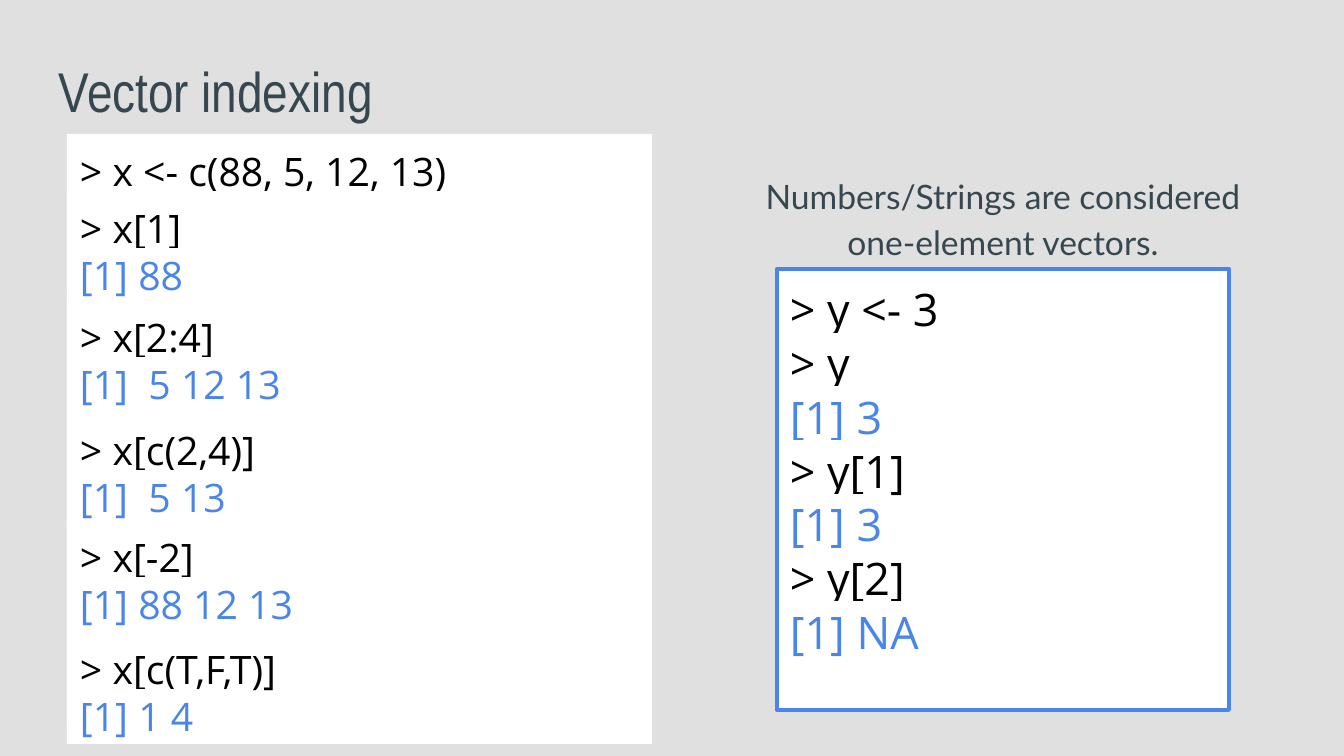
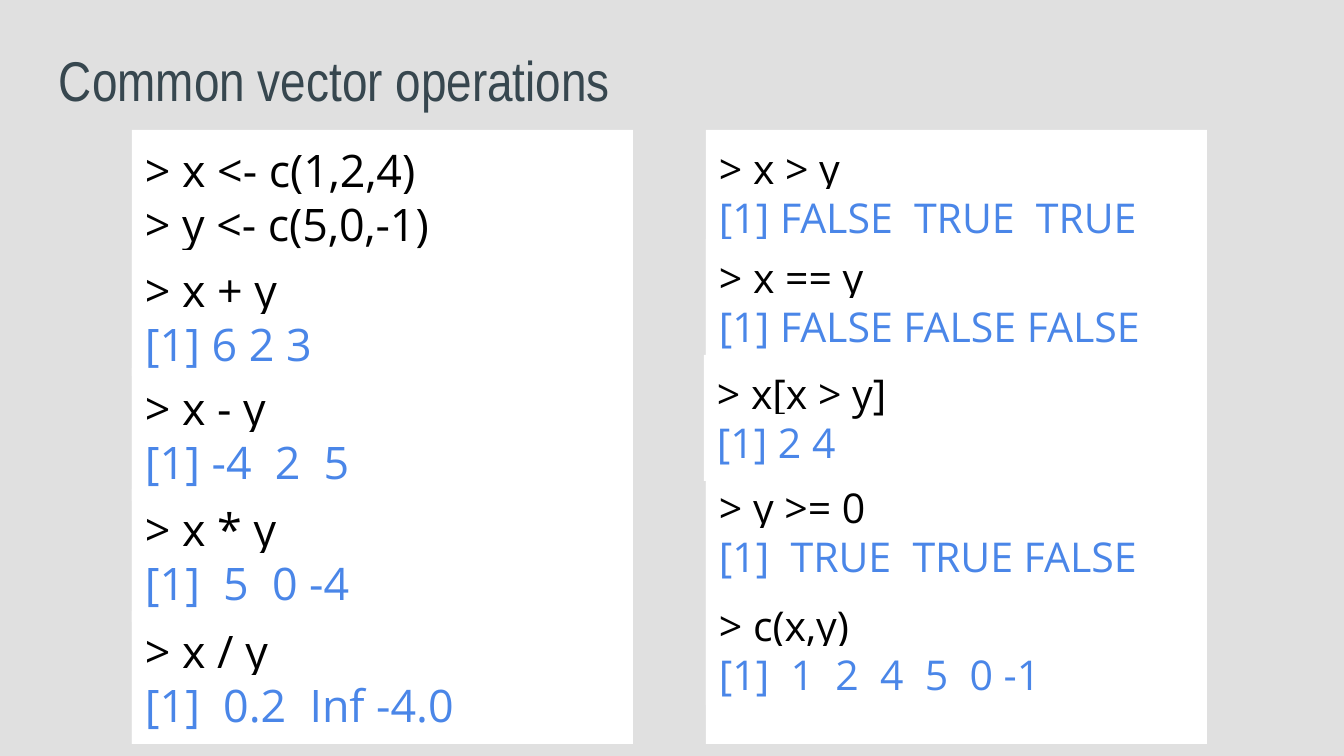
from collections import namedtuple

from lxml import etree
from pptx import Presentation
from pptx.dml.color import RGBColor
from pptx.enum.shapes import MSO_SHAPE
from pptx.enum.text import MSO_ANCHOR, MSO_AUTO_SIZE, PP_ALIGN
from pptx.oxml.ns import qn
from pptx.util import Emu, Pt

# Shared look
EMU_PER_PX = 914400 / 134.4
GREY = RGBColor(0xE0, 0xE0, 0xE0)
SLATE = RGBColor(0x37, 0x47, 0x4F)
WHITE = RGBColor(0xFF, 0xFF, 0xFF)
BLACK = RGBColor(0x00, 0x00, 0x00)
BLUE = RGBColor(0x4A, 0x86, 0xE8)
TITLE_FONT, BODY_FONT, CODE_FONT = "Arial Narrow", "Lato", "Open Sans"
INSET = 13
TITLE_AND_CONTENT, TITLE_ONLY = 1, 5

Box = namedtuple("Box", "left top width height")
# A block's top and shift are measured from its column's top left corner
Block = namedtuple("Block", "top height lines shift", defaults=[0])


def px(length):
    return Emu(round(length * EMU_PER_PX))


def place(shape, box):
    shape.left, shape.top, shape.width, shape.height = map(px, box)


def prepare_frame(shape):
    frame = shape.text_frame
    frame.word_wrap = True
    frame.auto_size = MSO_AUTO_SIZE.NONE
    frame.vertical_anchor = MSO_ANCHOR.TOP
    frame.margin_left = frame.margin_right = px(INSET)
    frame.margin_top = frame.margin_bottom = px(INSET)
    return frame


def set_font(paragraph, name, size, color):
    paragraph.font.name = name
    paragraph.font.size = Pt(size)
    paragraph.font.color.rgb = color


def highlight(run, color):
    element = etree.SubElement(run._r.get_or_add_rPr(), qn("a:highlight"))
    etree.SubElement(element, qn("a:srgbClr"), val=str(color))


def add_titled_slide(presentation, layout, title, top):
    slide = presentation.slides.add_slide(presentation.slide_layouts[layout])
    place(slide.shapes.title, Box(46, top, 1253, 85))
    paragraph = prepare_frame(slide.shapes.title).paragraphs[0]
    paragraph.text = title
    paragraph.alignment = PP_ALIGN.LEFT
    set_font(paragraph, TITLE_FONT, 30, SLATE)
    return slide


def fill_note(placeholder, box, text):
    place(placeholder, box)
    paragraph = prepare_frame(placeholder).paragraphs[0]
    paragraph.text = text
    paragraph.alignment = PP_ALIGN.CENTER
    paragraph.line_spacing = 1.15
    paragraph.space_before = Pt(0)
    paragraph.space_after = Pt(16)
    set_font(paragraph, BODY_FONT, 18, SLATE)
    # No bullet or hanging indent
    properties = paragraph._p.get_or_add_pPr()
    properties.set("marL", "0")
    properties.set("indent", "0")
    bullet = etree.Element(qn("a:buNone"))
    properties.find(qn("a:defRPr")).addprevious(bullet)


def add_code(slide, box, size, lines, border=None):
    """White box of console lines: input in black, output in blue."""
    shape = slide.shapes.add_shape(MSO_SHAPE.RECTANGLE, *map(px, box))
    shape.shadow.inherit = False
    shape.fill.solid()
    shape.fill.fore_color.rgb = WHITE
    if border is None:
        shape.line.fill.background()
    else:
        shape.line.color.rgb = border
        shape.line.width = Pt(2.25)
    frame = prepare_frame(shape)
    for index, line in enumerate(lines):
        paragraph = frame.add_paragraph() if index else frame.paragraphs[0]
        paragraph.alignment = PP_ALIGN.LEFT
        set_font(paragraph, CODE_FONT, size, BLACK if line.startswith(">") else BLUE)
        run = paragraph.add_run()
        run.text = line
        highlight(run, WHITE)


def add_code_column(slide, box, size, opening, blocks):
    """Panel with its opening lines, and further blocks laid over it."""
    add_code(slide, box, size, opening)
    for block in blocks:
        block_box = Box(box.left + block.shift, box.top + block.top, box.width, block.height)
        add_code(slide, block_box, size, block.lines)


def build_indexing_slide(presentation):
    slide = add_titled_slide(presentation, TITLE_AND_CONTENT, "Vector indexing", 43)
    fill_note(slide.placeholders[1], Box(726, 157, 554, 112),
              "Numbers/Strings are considered one-element vectors.")
    # One-element vector example
    add_code(slide, Box(777, 269, 452, 441), 24,
             ["> y <- 3", "> y", "[1] 3", "> y[1]", "[1] 3", "> y[2]", "[1] NA"], BLUE)
    # Ways to index
    add_code_column(slide, Box(67, 134, 585, 590), 21, ["> x <- c(88, 5, 12, 13)"], [
        Block(57, 97, ["> x[1]", "[1] 88"]),
        Block(166, 112, ["> x[2:4]", "[1]  5 12 13"]),
        Block(279, 120, ["> x[c(2,4)]", "[1]  5 13"]),
        Block(386, 112, ["> x[-2]", "[1] 88 12 13"]),
        Block(498, 112, ["> x[c(T,F,T)]", "[1] 1 4"]),
    ])


def build_operations_slide(presentation):
    slide = add_titled_slide(presentation, TITLE_ONLY, "Common vector operations", 32)
    # Arithmetic
    add_code_column(slide, Box(132, 130, 501, 614), 24, ["> x <- c(1,2,4)", "> y <- c(5,0,-1)"], [
        Block(120, 126, ["> x + y", "[1] 6 2 3"]),
        Block(238, 133, ["> x - y", "[1] -4  2  5"]),
        Block(359, 133, ["> x * y", "[1]  5  0 -4"]),
        Block(481, 133, ["> x / y", "[1]  0.2  Inf -4.0"]),
    ])
    # Comparison and joining
    add_code_column(slide, Box(706, 130, 501, 614), 22, ["> x > y", "[1] FALSE  TRUE  TRUE"], [
        Block(109, 126, ["> x == y", "[1] FALSE FALSE FALSE"]),
        Block(225, 126, ["> x[x > y]", "[1] 2 4"], shift=-2),
        Block(339, 118, ["> y >= 0", "[1]  TRUE  TRUE FALSE"]),
        Block(457, 118, ["> c(x,y)", "[1]  1  2  4  5  0 -1"]),
    ])


def main():
    presentation = Presentation()
    presentation.slide_width, presentation.slide_height = px(1344), px(756)
    background = presentation.slide_master.background.fill
    background.solid()
    background.fore_color.rgb = GREY
    build_indexing_slide(presentation)
    build_operations_slide(presentation)
    presentation.save("out.pptx")


if __name__ == "__main__":
    main()
